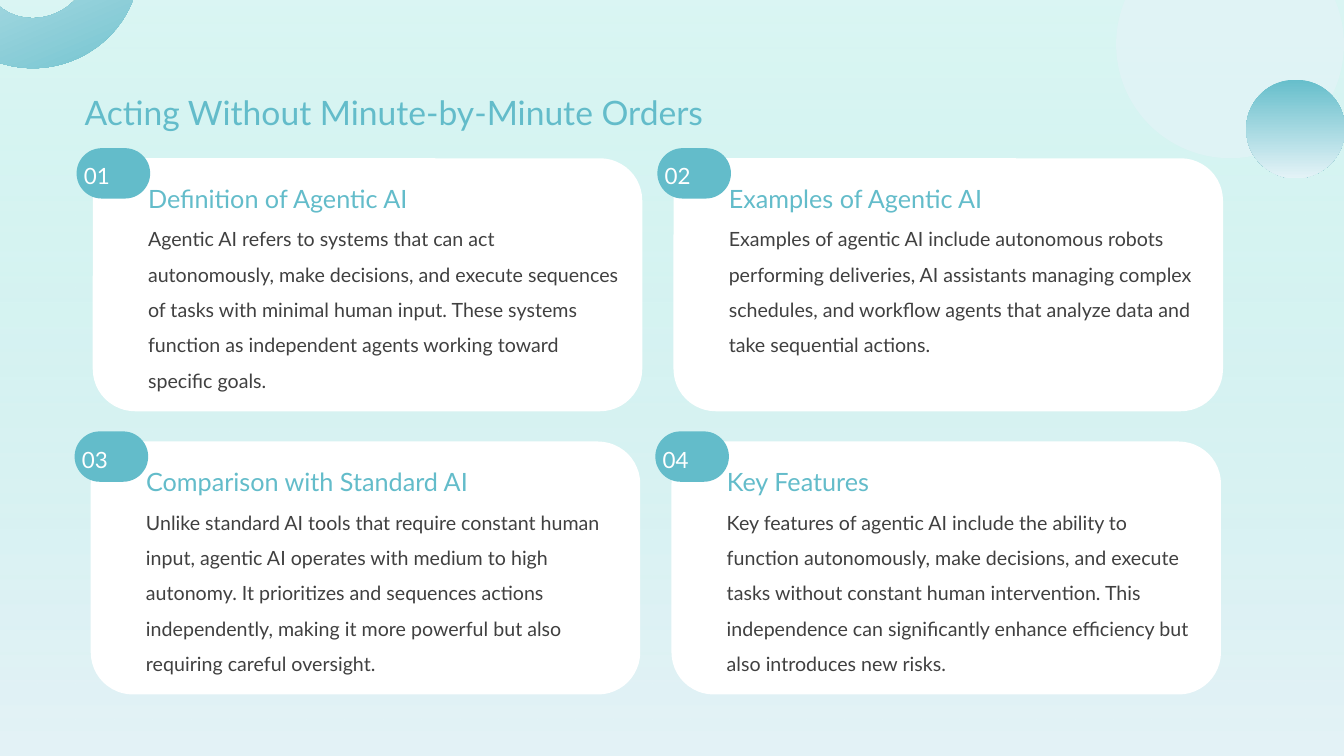
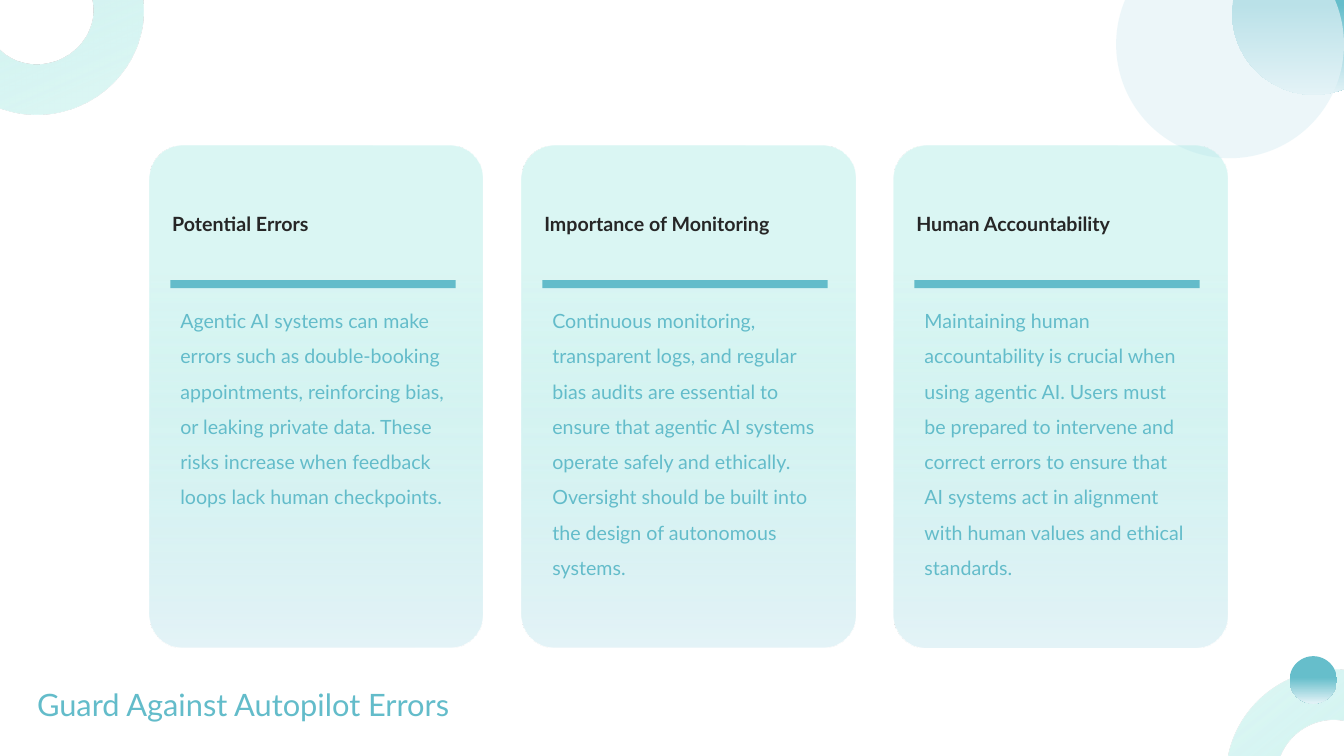
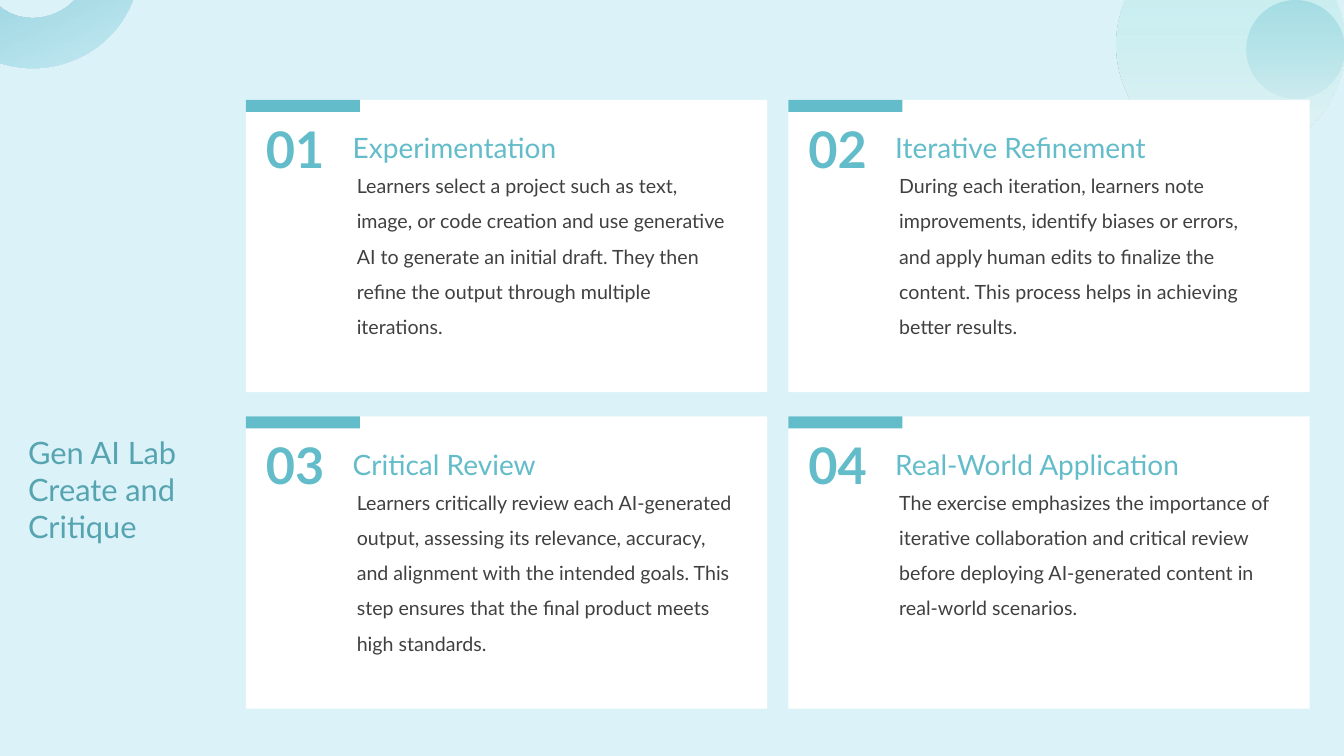
from typing import NamedTuple

from lxml.etree import SubElement
from pptx import Presentation
from pptx.dml.color import RGBColor
from pptx.enum.shapes import MSO_SHAPE as Preset
from pptx.enum.text import MSO_ANCHOR as Anchor, PP_ALIGN as Align
from pptx.oxml.ns import qn
from pptx.util import Inches, Pt

TEAL = RGBColor(0x63, 0xBC, 0xCA)
DEEP_TEAL = RGBColor(0x56, 0xA4, 0xB0)
BRIGHT_TEAL = RGBColor(0x66, 0xBE, 0xCB)
SOFT_TEAL = RGBColor(0x72, 0xC3, 0xCF)
SKY_TEAL = RGBColor(0x85, 0xCA, 0xDB)
MINT = RGBColor(0xA8, 0xEA, 0xE4)
MIST = RGBColor(0xE4, 0xF3, 0xF7)
ICE = RGBColor(0xD2, 0xEF, 0xF8)
WHITE = RGBColor(0xFF, 0xFF, 0xFF)
BODY_GREY = RGBColor(0x40, 0x40, 0x40)
HEADING_GREY = RGBColor(0x26, 0x26, 0x26)

# A fill is a list of (position %, colour, opacity %); one stop means solid.
MINT_FADE = [(0, MINT, 42), (100, MIST, 100)]
MINT_CARD = [(0, MINT, 42), (25, MINT, 42), (100, MIST, 100)]
TEAL_FADE = [(0, BRIGHT_TEAL, 100), (100, MIST, 100)]
TEAL_BALL = [(0, BRIGHT_TEAL, 100), (45, BRIGHT_TEAL, 100), (100, MIST, 100)]
ICE_ARC = [(0, ICE, 100), (86, SOFT_TEAL, 100), (100, SOFT_TEAL, 100)]
MINT_HALO = [(0, MINT, 28), (92, MIST, 100), (100, MIST, 100)]
MIST_HALO = [(0, MIST, 67)]

FONT = "Lato"


class Box(NamedTuple):
    left: float
    top: float
    width: float
    height: float

    def inner(self, dx, dy, width, height):
        """Box placed at an offset from this one's top left corner."""
        return Box(self.left + dx, self.top + dy, width, height)

    def emu(self):
        return [Inches(length) for length in self]


PAGE = Box(0, 0, 13.33, 7.5)
HALO = Box(11.07, -0.69, 2.26, 2.26)
TOP_ARC = Box(-0.68, -1.32, 2.07, 1.99)


def grid(first, columns, rows, pitch_x, pitch_y=0, row_shift=0):
    """Boxes row by row; each row may start a little further along."""
    return [first.inner(col * pitch_x + row * row_shift, row * pitch_y,
                        first.width, first.height)
            for row in range(rows) for col in range(columns)]


def add_colour(parent, colour, opacity):
    tint = SubElement(parent, qn("a:srgbClr"), val=str(colour))
    if opacity < 100:
        SubElement(tint, qn("a:alpha"), val=str(opacity * 1000))


def paint(shape, stops):
    if len(stops) == 1:
        _, colour, opacity = stops[0]
        shape.fill.solid()
        solid = shape.element.spPr.find(qn("a:solidFill"))
        add_colour(solid, colour, opacity)
        return
    shape.fill.gradient()
    gradient = shape.element.spPr.find(qn("a:gradFill"))
    for child in list(gradient):
        gradient.remove(child)
    gradient.set("rotWithShape", "1")
    stop_list = SubElement(gradient, qn("a:gsLst"))
    for position, colour, opacity in stops:
        stop = SubElement(stop_list, qn("a:gs"), pos=str(position * 1000))
        add_colour(stop, colour, opacity)
    SubElement(gradient, qn("a:lin"), ang="5400000", scaled="0")


def add_figure(slide, preset, box, fill, corner=None, rotation=0):
    """Borderless preset shape; fill is a colour or a list of stops."""
    figure = slide.shapes.add_shape(preset, *box.emu())
    figure.shadow.inherit = False
    figure.line.fill.background()
    if isinstance(fill, RGBColor):
        figure.fill.solid()
        figure.fill.fore_color.rgb = fill
    else:
        paint(figure, fill)
    if corner is not None:
        figure.adjustments[0] = corner
    figure.rotation = rotation
    return figure


def write(frame, words, size, colour, bold=False, spacing=None,
          anchor=Anchor.TOP):
    frame.word_wrap = True
    frame.vertical_anchor = anchor
    paragraph = frame.paragraphs[0]
    paragraph.text = words
    paragraph.alignment = Align.LEFT
    if spacing:
        paragraph.line_spacing = spacing
    font = paragraph.font
    font.name, font.size, font.bold = FONT, Pt(size), bold
    font.color.rgb = colour


def add_text(slide, box, words, size, colour, **style):
    frame = slide.shapes.add_textbox(*box.emu()).text_frame
    write(frame, words, size, colour, **style)


def add_body(slide, box, words, colour=BODY_GREY):
    add_text(slide, box, words, 14, colour, spacing=1.5)


def add_arc(slide, box, fill, rotation=157):
    add_figure(slide, Preset.BLOCK_ARC, box, fill, rotation=rotation)


def add_disc(slide, box, fill):
    add_figure(slide, Preset.OVAL, box, fill)


def add_badge(slide, box, number):
    badge = add_figure(slide, Preset.ROUNDED_RECTANGLE, box, TEAL, 0.5)
    frame = badge.text_frame
    frame.margin_left = frame.margin_right = 0
    frame.margin_top, frame.margin_bottom = Inches(0.1), Inches(0.05)
    write(frame, number, 16, WHITE, anchor=Anchor.MIDDLE)


def add_badge_card(slide, card, number, heading, body):
    add_figure(slide, Preset.ROUNDED_RECTANGLE, card, WHITE, 0.167)
    add_badge(slide, card.inner(-0.16, -0.1, 0.73, 0.5), number)
    add_text(slide, card.inner(0.45, 0.2, 3.92, 0.37), heading, 18, TEAL)
    add_body(slide, card.inner(0.45, 0.52, 4.87, 1.85), body)


def add_column_card(slide, card, heading, body):
    add_figure(slide, Preset.ROUNDED_RECTANGLE, card, MINT_CARD, 0.1)
    add_figure(slide, Preset.RECTANGLE, card.inner(0.21, 1.33, 2.83, 0.08), TEAL)
    add_text(slide, card.inner(0.13, 0.44, 3.06, 0.65), heading, 14,
             HEADING_GREY, bold=True, anchor=Anchor.MIDDLE)
    add_body(slide, card.inner(0.21, 1.45, 2.83, 3.27), body, TEAL)


def add_tab_card(slide, card, number, heading, body):
    add_figure(slide, Preset.RECTANGLE, card, WHITE)
    add_figure(slide, Preset.RECTANGLE, card.inner(0, 0, 1.13, 0.12), TEAL)
    add_text(slide, card.inner(0.1, 0.13, 0.93, 0.65), number, 36, TEAL,
             bold=True)
    add_text(slide, card.inner(0.96, 0.26, 4.1, 0.58), heading, 20, TEAL)
    add_body(slide, card.inner(1, 0.57, 3.92, 2.21), body)


def fill_cards(slide, add_card, cards, entries, numbered=True):
    for index, (card, entry) in enumerate(zip(cards, entries), start=1):
        number = [f"{index:02}"] if numbered else []
        add_card(slide, card, *number, *entry)


AGENTIC_AI = [
    ("Definition of Agentic AI",
     "Agentic AI refers to systems that can act autonomously, make decisions, "
     "and execute sequences of tasks with minimal human input. These systems "
     "function as independent agents working toward specific goals."),
    ("Examples of Agentic AI",
     "Examples of agentic AI include autonomous robots performing deliveries, "
     "AI assistants managing complex schedules, and workflow agents that "
     "analyze data and take sequential actions."),
    ("Comparison with Standard AI",
     "Unlike standard AI tools that require constant human input, agentic AI "
     "operates with medium to high autonomy. It prioritizes and sequences "
     "actions independently, making it more powerful but also requiring "
     "careful oversight."),
    ("Key Features",
     "Key features of agentic AI include the ability to function autonomously, "
     "make decisions, and execute tasks without constant human intervention. "
     "This independence can significantly enhance efficiency but also "
     "introduces new risks."),
]

SAFEGUARDS = [
    ("Potential Errors",
     "Agentic AI systems can make errors such as double-booking appointments, "
     "reinforcing bias, or leaking private data. These risks increase when "
     "feedback loops lack human checkpoints."),
    ("Importance of Monitoring",
     "Continuous monitoring, transparent logs, and regular bias audits are "
     "essential to ensure that agentic AI systems operate safely and "
     "ethically. Oversight should be built into the design of autonomous "
     "systems."),
    ("Human Accountability",
     "Maintaining human accountability is crucial when using agentic AI. Users "
     "must be prepared to intervene and correct errors to ensure that AI "
     "systems act in alignment with human values and ethical standards."),
]

LAB_STEPS = [
    ("Experimentation",
     "Learners select a project such as text, image, or code creation and use "
     "generative AI to generate an initial draft. They then refine the output "
     "through multiple iterations."),
    ("Iterative Refinement",
     "During each iteration, learners note improvements, identify biases or "
     "errors, and apply human edits to finalize the content. This process "
     "helps in achieving better results."),
    ("Critical Review",
     "Learners critically review each AI-generated output, assessing its "
     "relevance, accuracy, and alignment with the intended goals. This step "
     "ensures that the final product meets high standards."),
    ("Real-World Application",
     "The exercise emphasizes the importance of iterative collaboration and "
     "critical review before deploying AI-generated content in real-world "
     "scenarios."),
]


def build_agentic_slide(slide):
    add_figure(slide, Preset.RECTANGLE, PAGE, MINT_FADE)
    add_arc(slide, TOP_ARC, TEAL_FADE)
    add_text(slide, Box(0.74, 0.86, 11.39, 0.4),
             "Acting Without Minute-by-Minute Orders", 24, TEAL)
    add_disc(slide, HALO, MIST_HALO)
    add_disc(slide, Box(12.36, 0.79, 0.98, 0.98), TEAL_FADE)
    cards = grid(Box(0.92, 1.57, 5.45, 2.51), 2, 2, 5.76, 2.81, -0.02)
    fill_cards(slide, add_badge_card, cards, AGENTIC_AI)


def build_safeguards_slide(slide):
    add_disc(slide, Box(12.22, -0.68, 1.62, 1.62), TEAL_BALL)
    add_arc(slide, Box(-0.64, -0.86, 2.07, 1.99), MINT_CARD)
    add_text(slide, Box(0.27, 6.55, 6.55, 0.87),
             "Guard Against Autopilot Errors", 22, TEAL, anchor=Anchor.MIDDLE)
    add_disc(slide, HALO, MIST_HALO)
    cards = grid(Box(1.48, 1.45, 3.31, 4.97), 3, 1, 3.69)
    fill_cards(slide, add_column_card, cards, SAFEGUARDS, numbered=False)
    add_arc(slide, Box(12.15, 6.66, 2.07, 1.99), MINT_CARD, rotation=321)
    add_disc(slide, Box(12.79, 6.51, 0.47, 0.47), TEAL_BALL)


def build_lab_slide(slide):
    add_figure(slide, Preset.RECTANGLE, PAGE, [(0, ICE, 78)])
    add_disc(slide, Box(12.36, 0, 0.98, 0.98), [(0, SKY_TEAL, 90)])
    add_arc(slide, TOP_ARC, ICE_ARC)
    add_text(slide, Box(0.18, 4.25, 2.26, 1.31),
             "Gen AI Lab Create and Critique", 22, DEEP_TEAL)
    add_disc(slide, HALO, MINT_HALO)
    cards = grid(Box(2.44, 0.99, 5.17, 2.9), 2, 2, 5.38, 3.14)
    fill_cards(slide, add_tab_card, cards, LAB_STEPS)


def main():
    deck = Presentation()
    deck.slide_width, deck.slide_height = Inches(PAGE.width), Inches(PAGE.height)
    blank = deck.slide_layouts[6]
    for build in (build_agentic_slide, build_safeguards_slide, build_lab_slide):
        build(deck.slides.add_slide(blank))
    deck.save("out.pptx")


if __name__ == "__main__":
    main()
